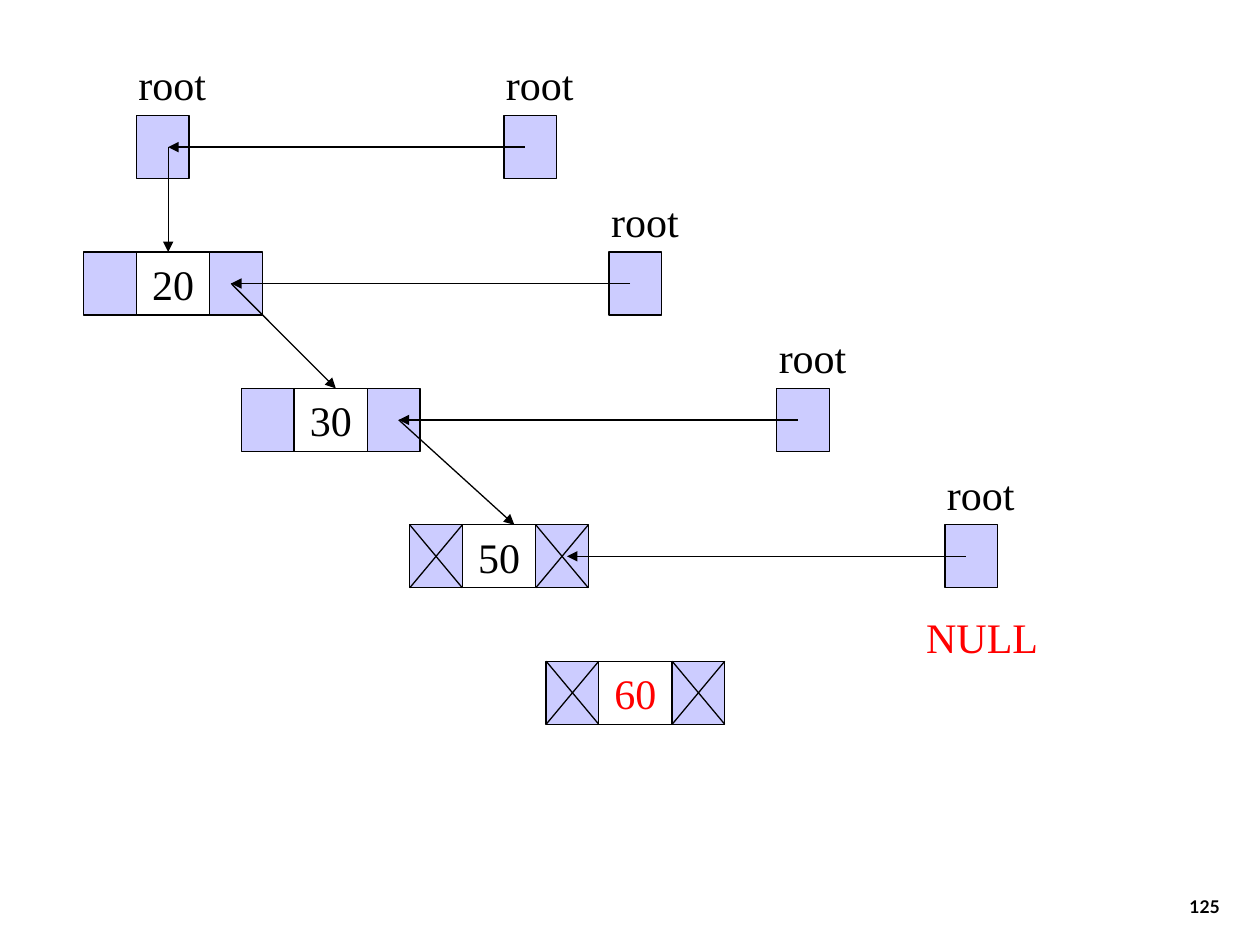
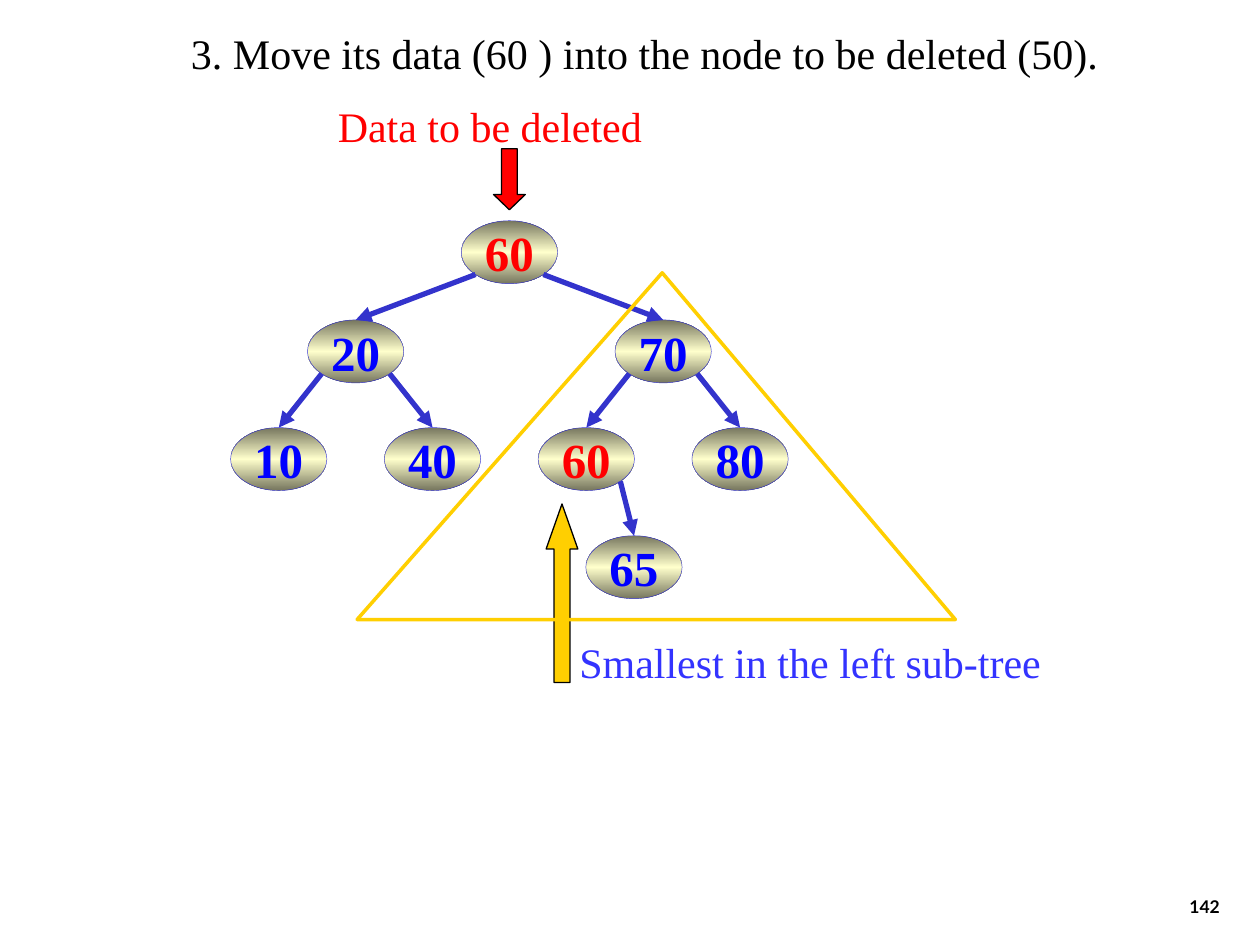
from collections import namedtuple
from copy import deepcopy
from dataclasses import dataclass
from math import sqrt

from lxml.etree import SubElement
from pptx import Presentation
from pptx.dml.color import RGBColor as Rgb
from pptx.enum.shapes import MSO_CONNECTOR as Connector, MSO_SHAPE as Preset
from pptx.enum.text import MSO_ANCHOR as Anchor, MSO_AUTO_SIZE as AutoSize, PP_ALIGN as Align
from pptx.oxml.ns import qn
from pptx.util import Cm, Pt

Box = namedtuple("Box", "left top width height")
ChainNode = namedtuple("ChainNode", "key left entry_x exit_x")
TreeNode = namedtuple("TreeNode", "key column level parent is_marked")


@dataclass(frozen=True)
class Theme:
    """Colours, fonts and sizes shared by the slides."""
    body_font: str = "Times New Roman"
    number_font: str = "Lato"
    black: str = "000000"
    white: str = "FFFFFF"
    red: str = "FF0000"
    link: str = "CCCCFF"
    gold: str = "FFCF01"
    key: str = "0000FF"
    note: str = "3333FF"
    edge: str = "3333CC"
    node_rim: str = "76765E"
    node_glow: str = "FFFFCC"
    body_size: float = 24
    key_size: float = 28
    number_size: float = 10
    hairline: float = 0.25
    thin: float = 0.75
    outline: float = 2
    thick: float = 3


THEME = Theme()
SLIDE_WIDTH, SLIDE_HEIGHT = 25.4, 19.05
CELL_HEIGHT, LINK_WIDTH, KEY_WIDTH = 1.27, 1.06, 1.48
CHAIN_TOP, ROW_PITCH = 2.33, 2.75
CHAIN = [
    ChainNode("20", 1.69, 3.39, 4.66),
    ChainNode("30", 4.87, 6.77, 8.04),
    ChainNode("50", 8.26, 10.37, 11.43),
]
NEW_NODE_LEFT = 11.01
TREE_ROOT_LEFT, TREE_ROOT_ANCHOR = 2.75, 3.39
CALL_ROOT_LEFTS = [10.16, 12.28, 15.66, 19.05]

TREE_NODES = {
    "top": TreeNode("60", 3, 0, None, True),
    "left": TreeNode("20", 1, 1, "top", False),
    "right": TreeNode("70", 5, 1, "top", False),
    "left-left": TreeNode("10", 0, 2, "left", False),
    "left-right": TreeNode("40", 2, 2, "left", False),
    "smallest": TreeNode("60", 4, 2, "right", True),
    "right-right": TreeNode("80", 6, 2, "right", False),
    "last": TreeNode("65", 4.62, 3, "smallest", False),
}
LEVEL_TOPS = [0, 2.0, 4.17, 6.35]
COLUMN_PITCH = 1.55
NODE_WIDTH, NODE_HEIGHT = 1.94, 1.27


def in_cm(values):
    """Turn numbers into lengths in centimetres."""
    return [Cm(value) for value in values]


def write(frame, words, color, size=THEME.body_size, font=THEME.body_font,
          bold=False, align=Align.LEFT, anchor=Anchor.TOP, wrap=True):
    """Put one formatted run into a text frame."""
    frame.word_wrap = wrap
    frame.auto_size = AutoSize.NONE
    frame.vertical_anchor = anchor
    frame.margin_left = frame.margin_right = Cm(0.25)
    frame.margin_top = frame.margin_bottom = Cm(0.13)
    paragraph = frame.paragraphs[0]
    paragraph.alignment = align
    run = paragraph.add_run()
    run.text = words
    run.font.name, run.font.size, run.font.bold = font, Pt(size), bold
    run.font.color.rgb = Rgb.from_string(color)


def add_label(shapes, box, words, color=THEME.black, **style):
    """Add a text box."""
    write(shapes.add_textbox(*in_cm(box)).text_frame, words, color, **style)


def add_outlined(shapes, preset, box, fill=None, line=THEME.black,
                 weight=THEME.thin, adjustments=()):
    """Add a preset shape with an outline and an optional plain fill."""
    shape = shapes.add_shape(preset, *in_cm(box))
    shape.shadow.inherit = False
    shape.line.color.rgb = Rgb.from_string(line)
    shape.line.width = Pt(weight)
    if fill:
        shape.fill.solid()
        shape.fill.fore_color.rgb = Rgb.from_string(fill)
    else:
        shape.fill.background()
    for index, value in enumerate(adjustments):
        shape.adjustments[index] = value
    return shape


def add_line(shapes, start, end, color=THEME.black, weight=THEME.thin, arrow=True):
    """Draw a straight line, by default with an arrowhead at its end."""
    connector = shapes.add_connector(Connector.STRAIGHT, *in_cm((*start, *end)))
    connector.line.color.rgb = Rgb.from_string(color)
    connector.line.width = Pt(weight)
    properties = connector._element.spPr
    if arrow:
        SubElement(properties.find(qn("a:ln")), qn("a:tailEnd"), type="triangle")
    SubElement(properties, qn("a:effectLst"))


def add_page_number(slide, number):
    """Add the page number at the bottom right."""
    box = Box(SLIDE_WIDTH - 5.84, SLIDE_HEIGHT - 1.7, 5.28, 1.27)
    add_label(slide.shapes, box, number, size=THEME.number_size, bold=True,
              font=THEME.number_font, align=Align.RIGHT, anchor=Anchor.BOTTOM)


def add_root(slide, left, top):
    """Draw a root pointer cell with its label above."""
    shapes = slide.shapes.add_group_shape().shapes
    add_outlined(shapes, Preset.RECTANGLE, Box(left, top, LINK_WIDTH, CELL_HEIGHT), THEME.link)
    add_label(shapes, Box(left - 0.21, top - CELL_HEIGHT, 2.12, CELL_HEIGHT), "root")


def add_link_cell(shapes, box, is_null):
    """Draw a link cell, crossed out when it points nowhere."""
    add_outlined(shapes, Preset.RECTANGLE, box, THEME.link)
    if is_null:
        right, bottom = box.left + box.width, box.top + box.height
        add_line(shapes, (right, box.top), (box.left, bottom), arrow=False)
        add_line(shapes, (box.left, box.top), (right, bottom), arrow=False)


def add_chain_node(slide, left, top, key, color=THEME.black, is_null=False):
    """Draw a key cell between its two link cells."""
    shapes = slide.shapes.add_group_shape().shapes
    key_left = left + LINK_WIDTH
    for link_left in (left, key_left + KEY_WIDTH):
        add_link_cell(shapes, Box(link_left, top, LINK_WIDTH, CELL_HEIGHT), is_null)
    key_cell = add_outlined(shapes, Preset.RECTANGLE,
                            Box(key_left, top, KEY_WIDTH, CELL_HEIGHT), THEME.white)
    write(key_cell.text_frame, key, color, align=Align.CENTER,
          anchor=Anchor.MIDDLE, wrap=False)


def build_insertion_slide(deck):
    """Show the recursive calls that insert 60 below the chain."""
    slide = deck.slides.add_slide(deck.slide_layouts[6])
    add_page_number(slide, "125")
    row_tops = [CHAIN_TOP + ROW_PITCH * row for row in range(5)]
    add_root(slide, TREE_ROOT_LEFT, row_tops[0])
    for node, top in zip(CHAIN, row_tops[1:]):
        add_chain_node(slide, node.left, top, node.key, is_null=node is CHAIN[-1])
    add_chain_node(slide, NEW_NODE_LEFT, row_tops[-1], "60", THEME.red, is_null=True)

    exits = [TREE_ROOT_ANCHOR] + [node.exit_x for node in CHAIN]
    for call_left, exit_x, top in zip(CALL_ROOT_LEFTS, exits, row_tops):
        middle = top + CELL_HEIGHT / 2
        add_root(slide, call_left, top)
        add_line(slide.shapes, (call_left + 0.42, middle), (exit_x, middle))
    for node, exit_x, top in zip(CHAIN, exits, row_tops):
        add_line(slide.shapes, (exit_x, top + CELL_HEIGHT / 2), (node.entry_x, top + ROW_PITCH))
    add_label(slide.shapes, Box(18.42, 12.19, 2.77, 1.27), "NULL", THEME.red, wrap=False)


def shade_node(node):
    """Give a node a vertical gradient with a bright middle."""
    node.fill.gradient()
    node.fill.gradient_angle = 90
    stop_list = node._element.spPr.find(".//" + qn("a:gsLst"))
    stop_list.insert(1, deepcopy(stop_list[0]))
    shades = (THEME.node_rim, THEME.node_glow, THEME.node_rim)
    for stop, position, shade in zip(node.fill.gradient_stops, (0, 0.5, 1), shades):
        stop.position = position
        stop.color.rgb = Rgb.from_string(shade)


def add_tree(slide, left, top):
    """Draw the search tree from its leftmost and topmost edges."""
    shapes = slide.shapes.add_group_shape().shapes
    centers = {}
    for name, node in TREE_NODES.items():
        box = Box(left + node.column * COLUMN_PITCH, top + LEVEL_TOPS[node.level],
                  NODE_WIDTH, NODE_HEIGHT)
        centers[name] = (box.left + NODE_WIDTH / 2, box.top + NODE_HEIGHT / 2)
        oval = add_outlined(shapes, Preset.OVAL, box, line=THEME.edge, weight=THEME.hairline)
        shade_node(oval)
        write(oval.text_frame, node.key, THEME.red if node.is_marked else THEME.key,
              THEME.key_size, bold=True, align=Align.CENTER, anchor=Anchor.MIDDLE, wrap=False)

    reach_x, reach_y = NODE_WIDTH / sqrt(8), NODE_HEIGHT / sqrt(8)
    for name, node in TREE_NODES.items():
        if node.parent:
            x, y = centers[name]
            parent_x, parent_y = centers[node.parent]
            side = 1 if x > parent_x else -1
            add_line(shapes, (parent_x + side * reach_x, parent_y + reach_y),
                     (x, y - NODE_HEIGHT / 2), THEME.edge, THEME.thick)


def add_heading(slide, box, words):
    """Move and format the title placeholder."""
    title = slide.shapes.title
    title.left, title.top, title.width, title.height = in_cm(box)
    write(title.text_frame, words, THEME.black)


def build_deletion_slide(deck):
    """Show the tree after 60 replaces the deleted 50."""
    slide = deck.slides.add_slide(deck.slide_layouts[5])
    add_heading(slide, Box(3.6, 0.42, 20.97, 1.27),
                "3. Move its data (60 ) into the node to be deleted (50).")
    add_page_number(slide, "142")
    shapes = slide.shapes
    add_outlined(shapes, Preset.DOWN_ARROW, Box(9.95, 3, 0.64, 1.23), THEME.red,
                 adjustments=(0.5, 0.48))
    add_label(shapes, Box(6.56, 1.9, 7.41, 1.27), "Data to be deleted", THEME.red)
    add_outlined(shapes, Preset.UP_ARROW, Box(11.01, 10.16, 0.64, 3.6), THEME.gold,
                 adjustments=(0.5, 1.42))
    add_label(shapes, Box(11.43, 12.7, 10.37, 1.27), "Smallest in the left sub-tree", THEME.note)
    add_tree(slide, 4.65, 4.45)
    add_outlined(shapes, Preset.ISOSCELES_TRIANGLE, Box(7.2, 5.5, 12.06, 6.99),
                 line=THEME.gold, weight=THEME.outline, adjustments=(0.51,))


def main():
    """Build and save the deck."""
    deck = Presentation()
    deck.slide_width, deck.slide_height = in_cm((SLIDE_WIDTH, SLIDE_HEIGHT))
    build_insertion_slide(deck)
    build_deletion_slide(deck)
    deck.save("out.pptx")


if __name__ == "__main__":
    main()
